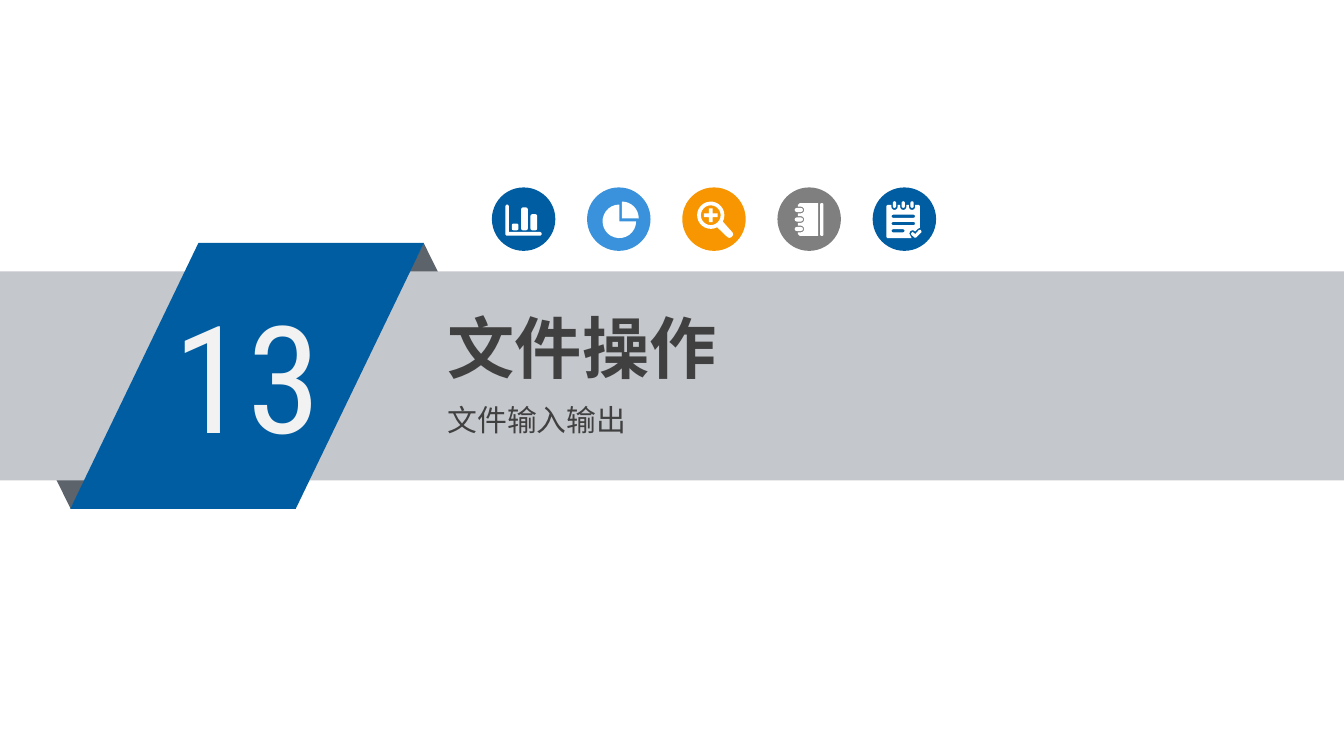
from math import cos, radians, sin

from pptx import Presentation
from pptx.dml.color import RGBColor
from pptx.enum.shapes import MSO_SHAPE
from pptx.enum.text import MSO_ANCHOR, MSO_AUTO_SIZE, PP_ALIGN
from pptx.oxml.ns import qn
from pptx.util import Pt

RECTANGLE, OVAL = MSO_SHAPE.RECTANGLE, MSO_SHAPE.OVAL
TRIANGLE, PARALLELOGRAM = MSO_SHAPE.ISOSCELES_TRIANGLE, MSO_SHAPE.PARALLELOGRAM
LEFT, MIDDLE, NO_FIT = PP_ALIGN.LEFT, MSO_ANCHOR.MIDDLE, MSO_AUTO_SIZE.NONE
TITLE_ONLY = 5

COLORS = {
    "blue": "005DA2", "sky": "3992DB", "orange": "F79600", "gray": "7F7F7F",
    "band": "C4C7CB", "fold": "5D636A", "white": "FFFFFF",
    "number": "F2F2F2", "text": "404040",
}
CHINESE, NUMERAL = "Noto Sans CJK SC", "Roboto Condensed"


def color(name):
    return RGBColor.from_string(COLORS[name])


def paint(shape, fill):
    shape.fill.solid()
    shape.fill.fore_color.rgb = color(fill)
    shape.line.fill.background()
    shape.shadow.inherit = False


def add_part(group, kind, box, fill):
    shape = group.shapes.add_shape(kind, *[Pt(value) for value in box])
    paint(shape, fill)
    return shape


def set_text(shape, text, size, font_name, fill, bold=False, inset=5.6):
    frame = shape.text_frame
    frame.word_wrap = True
    frame.auto_size = NO_FIT
    frame.vertical_anchor = MIDDLE
    frame.margin_left = frame.margin_right = Pt(inset)
    frame.margin_top = frame.margin_bottom = Pt(2.8)
    frame.text = text
    paragraph = frame.paragraphs[0]
    paragraph.alignment = LEFT
    font = paragraph.font
    font.name, font.size, font.bold = font_name, Pt(size), bold
    font.color.rgb = color(fill)
    # East Asian typeface follows the Latin one
    properties = paragraph._p.pPr.find(qn("a:defRPr"))
    properties.append(properties.makeelement(qn("a:ea"), {"typeface": font_name}))


def add_label(parent, box, *args, **options):
    set_text(parent.shapes.add_textbox(*[Pt(value) for value in box]), *args, **options)


def add_banner(slide, left, top, width, height):
    """Gray band with the folded number ribbon; the box is the band."""
    group = slide.shapes.add_group_shape()
    overhang = 15.2
    ribbon_top, ribbon_height = top - overhang, height + 2 * overhang
    add_part(group, TRIANGLE, (left + 194.6, ribbon_top, 64.8, 65.5), "fold")
    lower_fold = add_part(
        group, TRIANGLE,
        (left + 5.5, ribbon_top + ribbon_height - 65.5, 64.8, 65.5), "fold")
    lower_fold.element.spPr.get_or_add_xfrm().set("flipV", "1")
    add_part(group, RECTANGLE, (left, top, width, height), "band")
    ribbon = add_part(group, PARALLELOGRAM,
                      (left + 37.7, ribbon_top, 189.4, ribbon_height), "blue")
    ribbon.adjustments[0] = 0.482
    add_label(group, (left + 88.2, top + 3.8, 104.4, 102), "13", 80, NUMERAL,
              "number", inset=5)


def add_heading(slide, left, top, width):
    title = slide.shapes.title
    title.left, title.top, title.width, title.height = (
        Pt(value) for value in (left, top, width, 49))
    set_text(title, "文件操作", 36, CHINESE, "text", bold=True)
    add_label(slide, (left, top + 51, 480, 25.2), "文件输入输出", 16, CHINESE, "text")


# Outlines: lists of points relative to an icon's circle box
def arc(x, y, radius, start, end, steps):
    angles = [radians(start + (end - start) * step / steps) for step in range(steps + 1)]
    return [(x + radius * cos(angle), y + radius * sin(angle)) for angle in angles]


def rounded(left, top, width, height, radius):
    right, bottom = left + width - radius, top + height - radius
    left, top = left + radius, top + radius
    corners = ((right, bottom), (left, bottom), (left, top), (right, top))
    return [point for index, (x, y) in enumerate(corners)
            for point in arc(x, y, radius, 90 * index, 90 * index + 90, 2)]


def bar_chart():
    axes = [(7.2, 10.1), (7.8, 9.3), (8.6, 9.3), (9.2, 10.1), (9.2, 23.9), (26, 23.9),
            (26.7, 24.5), (26.7, 25.3), (26, 25.9), (7.9, 25.9), (7.2, 25.2)]
    bars = [rounded(10.7 + 5 * index, 23 - height, 3.6, height, 0.9)
            for index, height in enumerate((3.6, 12.2, 8.6))]
    return [axes, *bars]


def pie():
    return [[(18.7, 16.6), *arc(18.7, 16.6, 9, 270, 360, 8)],
            [(17.3, 18.2), *arc(17.3, 18.2, 9, 0, 270, 20)]]


def magnifier():
    x, y, reach, half = 15.3, 14.9, 3.7, 1
    frame = [*arc(x, y, 7.3, 62, 388, 24), (27, 24.2), (27.3, 25.4), (26.5, 26.6),
             (25.3, 27.1), (24.2, 26.6)]
    plus = [(-half, -reach), (half, -reach), (half, -half), (reach, -half),
            (reach, half), (half, half), (half, reach), (-half, reach),
            (-half, half), (-reach, half), (-reach, -half), (-half, -half)]
    return [frame, arc(x, y, 5.3, 0, 345, 23), [(x + dx, y + dy) for dx, dy in plus]]


def notebook():
    rows = [12.1 + 5.1 * row for row in range(3)]
    cover = [(21.8, 26), (21.8, 8.4), (12, 8.4), (10.9, 9.4)]
    for y in rows:
        cover += [(10.9, y - 1.8), *arc(12.5, y, 1.8, -90, 90, 6), (10.9, y + 1.8)]
    cover += [(10.9, 25), (12, 26)]
    rings = [rounded(9.2, y - 1.1, 4.5, 2.2, 1.1) for y in rows]
    return [cover, rounded(22.9, 8.4, 1.7, 17.6, 0.6), *rings]


def checklist():
    columns = [11.7 + 4.7 * column for column in range(3)]
    page = [(7.3, 10), (7.9, 9.4)]
    for x in columns:
        page += [(x - 1.7, 9.4), *arc(x, 10.4, 1.7, 180, 0, 6), (x + 1.7, 9.4)]
    page += [(24.7, 9.4), (25.3, 10), (25.3, 21.6), (24, 22.3), (22.8, 23.6),
             (21.6, 22.9), (20.2, 23.3), (19.6, 24.7), (20.9, 27.2), (7.9, 27.2),
             (7.3, 26.5)]
    rings = [rounded(x - 0.9, 7.4, 1.8, 3.6, 0.9) for x in columns]
    lines = [rounded(10.1, 14.6 + 3.9 * row, width, 1.7, 0.8)
             for row, width in enumerate((12.6, 12.6, 7))]
    check = [(20.6, 24.5), (21.4, 23.8), (22.8, 25), (24.8, 22.8), (25.8, 22.8),
             (26.2, 23.9), (23.2, 26.9), (22.4, 26.9), (20.7, 25.3)]
    return [page, *rings, *lines, check]


def add_icon(slide, left, top, diameter, fill, outlines):
    group = slide.shapes.add_group_shape()
    add_part(group, OVAL, (left, top, diameter, diameter), fill)
    # All outlines share one shape, so inner ones become holes
    outlines = [[(Pt(left + x), Pt(top + y)) for x, y in outline] for outline in outlines]
    builder = group.shapes.build_freeform(*outlines[0][0])
    for index, outline in enumerate(outlines):
        if index:
            builder.move_to(*outline[0])
        builder.add_line_segments(outline[1:])
    paint(builder.convert_to_shape(), "white")


def add_icon_row(slide, left, top, diameter, pitch):
    icons = (("blue", bar_chart()), ("sky", pie()), ("orange", magnifier()),
             ("gray", notebook()), ("blue", checklist()))
    for index, (fill, outlines) in enumerate(icons):
        add_icon(slide, left + index * pitch, top, diameter, fill, outlines)


def main():
    presentation = Presentation()
    presentation.slide_width, presentation.slide_height = Pt(720), Pt(405)
    slide = presentation.slides.add_slide(presentation.slide_layouts[TITLE_ONLY])
    add_banner(slide, 0, 145.4, 720, 112)
    slide.shapes.element.append(slide.shapes.title.element)  # in front of the band
    add_heading(slide, 234.2, 161, 397.4)
    add_icon_row(slide, 263.5, 100.4, 34, 51)
    presentation.save("out.pptx")


if __name__ == "__main__":
    main()
